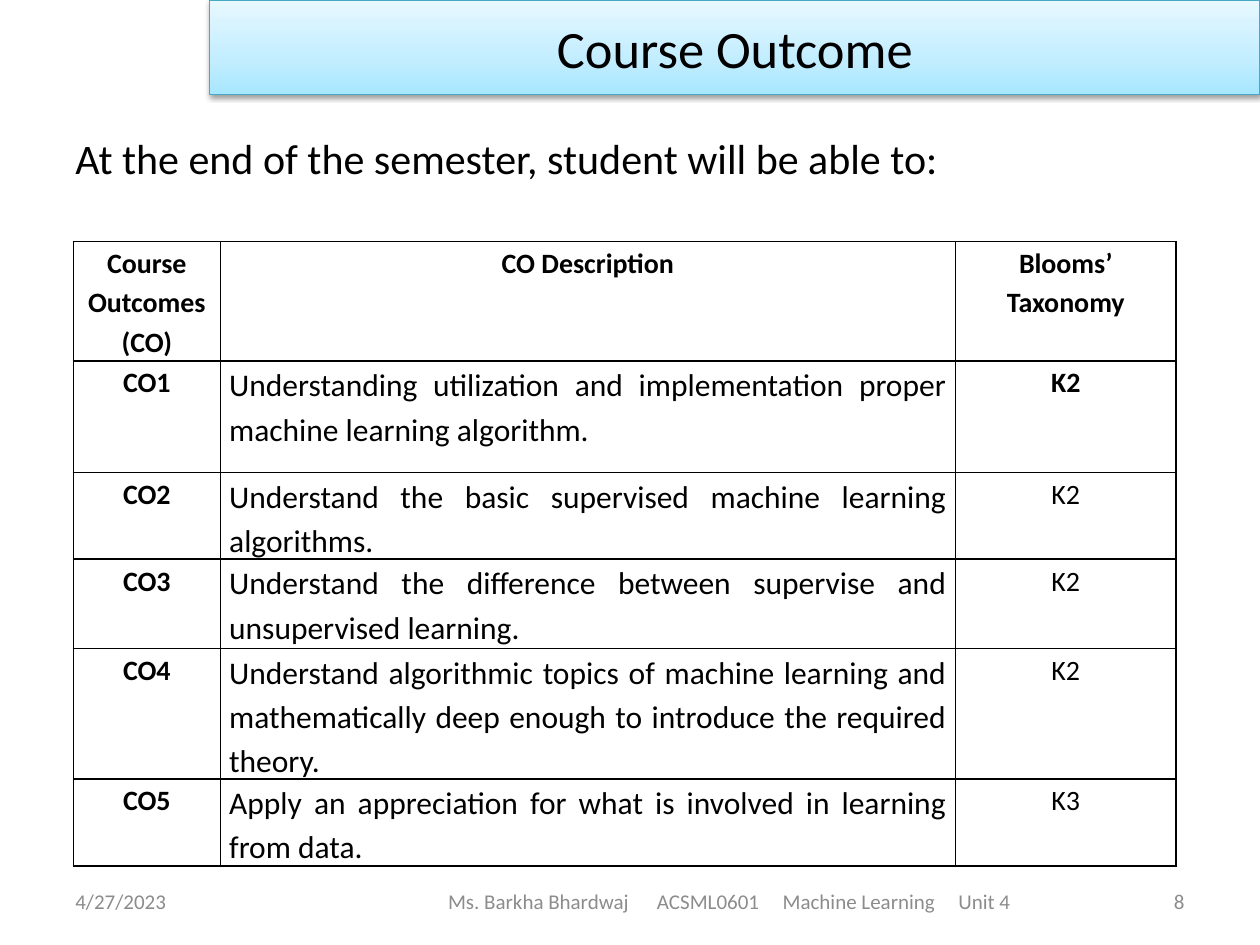
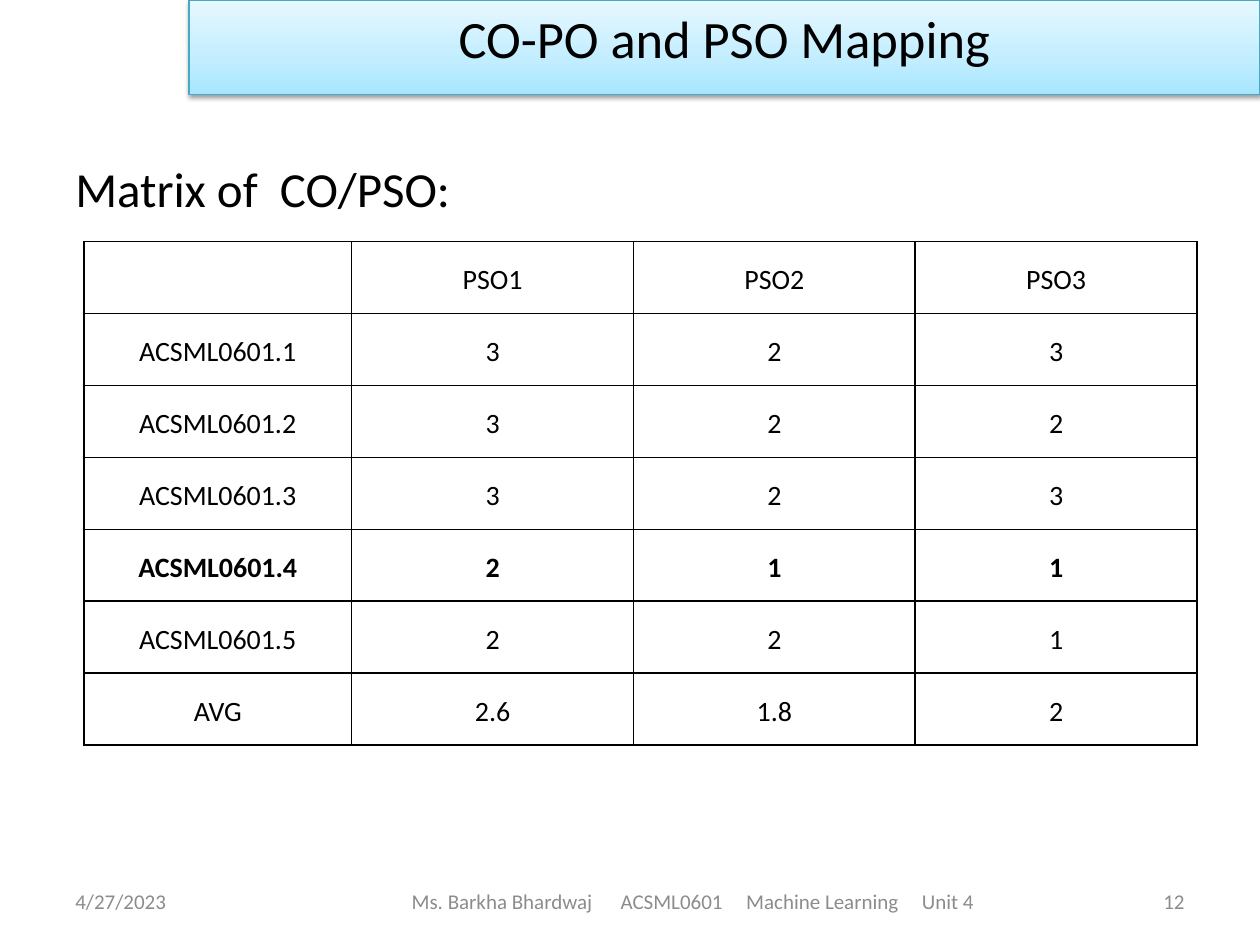
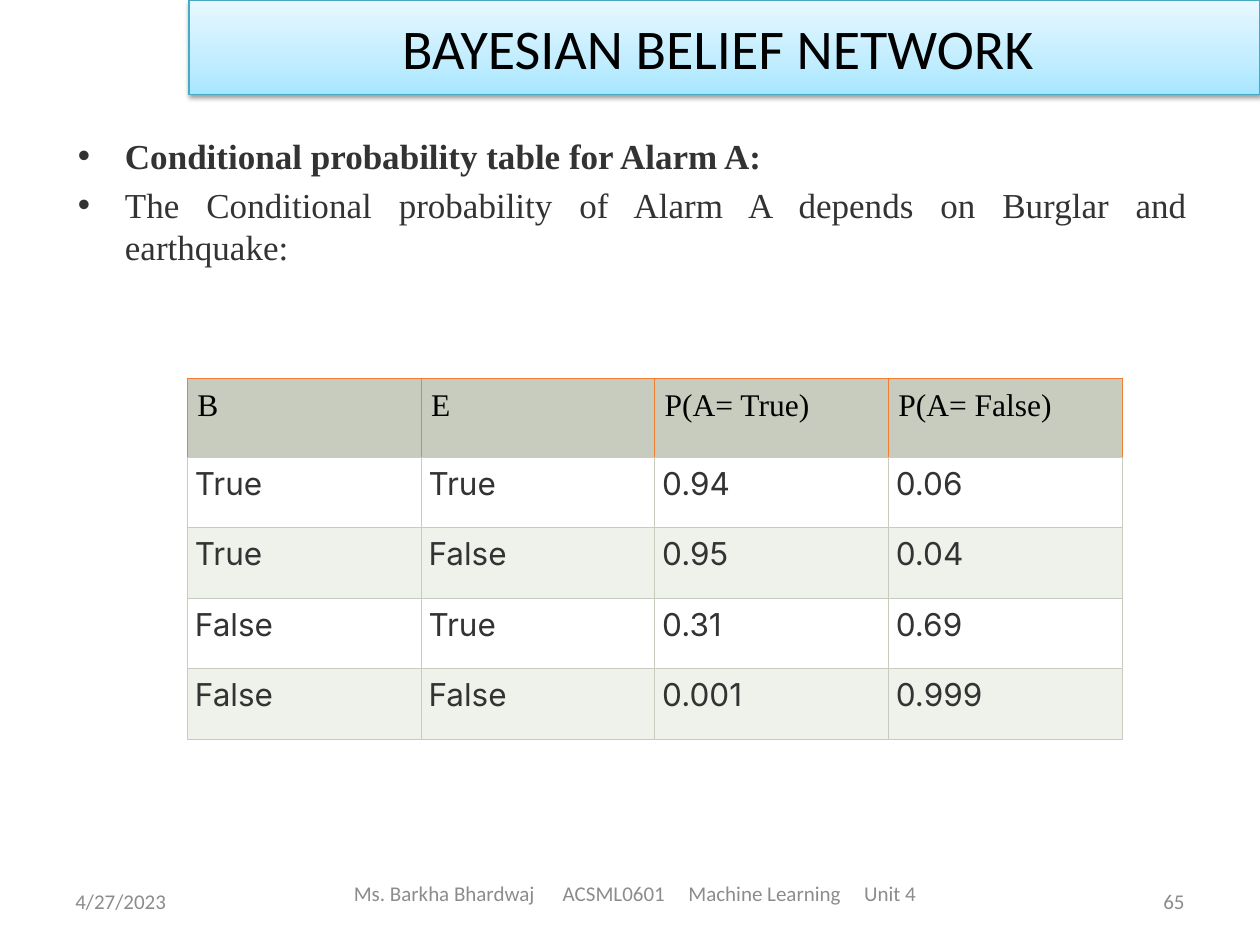
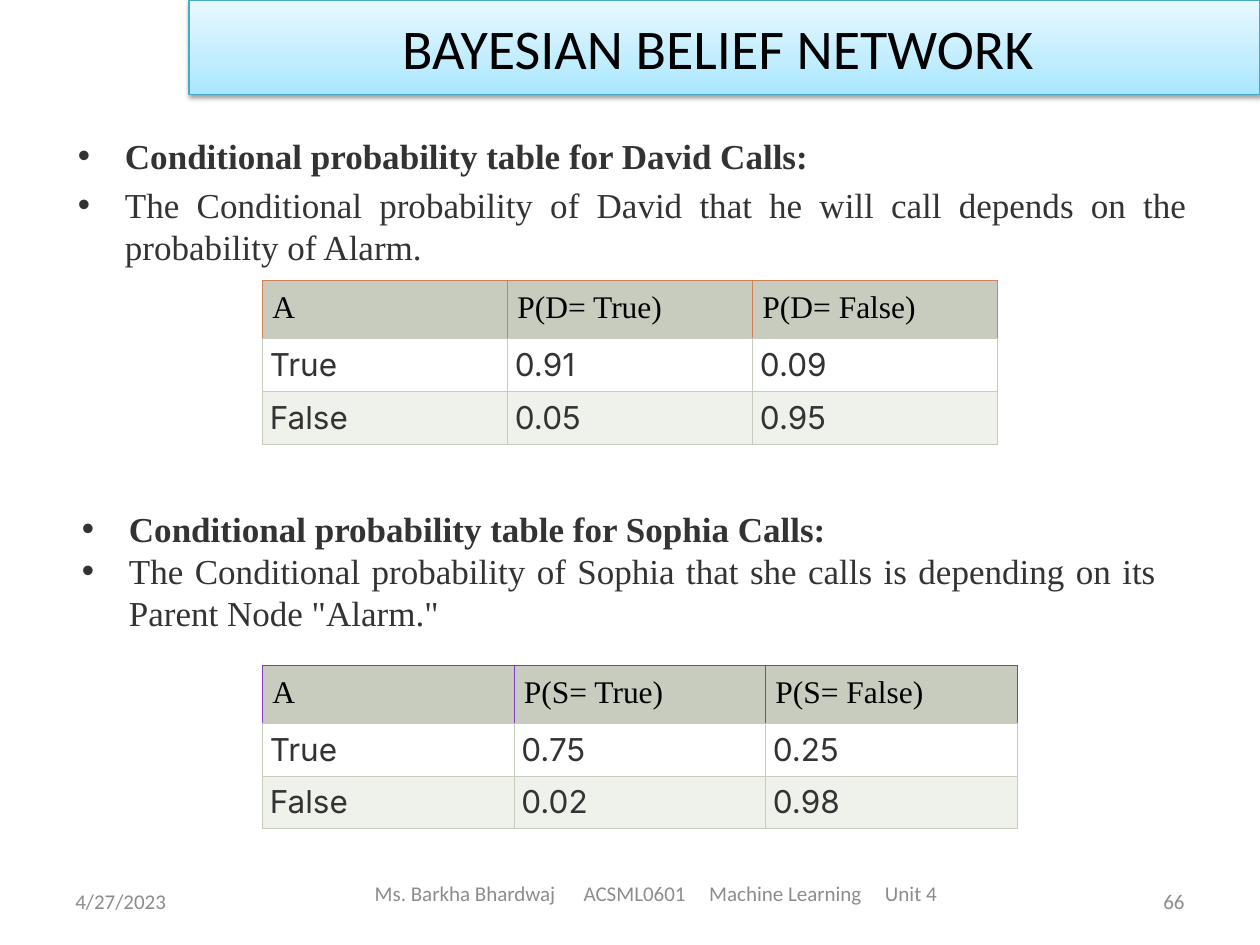
from lxml import etree
from pptx import Presentation
from pptx import util as u
from pptx.dml.color import RGBColor
from pptx.enum import text as t
from pptx.oxml.ns import qn

SERIF, SANS, UI = "Times New Roman", "Calibri", "Inter"
BLACK, INK, MUTED, WHITE = "000000", "333333", "8C8C8C", "FFFFFF"
BAND_STOPS = [(0, "A7E6FF"), (35, "C1EDFF"), (100, "E7F8FF")]
BAND_LINE = "46AAC5"
SAGE, PALE_SAGE = "C7CCBE", "EFF1EB"
LEFT, CENTER, RIGHT, JUSTIFY = (
    t.PP_ALIGN.LEFT, t.PP_ALIGN.CENTER, t.PP_ALIGN.RIGHT, t.PP_ALIGN.JUSTIFY)
TOP, MIDDLE = t.MSO_ANCHOR.TOP, t.MSO_ANCHOR.MIDDLE

# All places and sizes below are in centimetres.
PAGE_WIDTH, PAGE_HEIGHT = 25.4, 19.05
BAND_HEIGHT = 1.9
DATE = "4/27/2023"
CREDIT = "Ms. Barkha Bhardwaj      ACSML0601     Machine Learning     Unit 4"
DATE_BOX = (1.27, 17.65, 5.92, 1.02)
NUMBER_BOX = (18.21, 17.65, 5.92, 1.02)
BULLET_BOX = (1.32, 2.59, 22.86, 12.57)

OUTCOMES = [
    ("Course Outcomes (CO)", "CO Description", "Blooms’ Taxonomy"),
    ("CO1", "Understanding utilization and implementation proper machine learning algorithm.", "K2"),
    ("CO2", "Understand the basic supervised machine learning algorithms.", "K2"),
    ("CO3", "Understand the difference between supervise and unsupervised learning.", "K2"),
    ("CO4", "Understand algorithmic topics of machine learning and mathematically deep enough "
            "to introduce the required theory.", "K2"),
    ("CO5", "Apply an appreciation for what is involved in learning from data.", "K3"),
]
PSO_MATRIX = [
    ("", "PSO1", "PSO2", "PSO3"),
    ("ACSML0601.1", "3", "2", "3"),
    ("ACSML0601.2", "3", "2", "2"),
    ("ACSML0601.3", "3", "2", "3"),
    ("ACSML0601.4", "2", "1", "1"),
    ("ACSML0601.5", "2", "2", "1"),
    ("AVG", "2.6", "1.8", "2"),
]
ALARM = [
    ("B", "E", "P(A= True)", "P(A= False)"),
    ("True", "True", "0.94", "0.06"),
    ("True", "False", "0.95", "0.04"),
    ("False", "True", "0.31", "0.69"),
    ("False", "False", "0.001", "0.999"),
]
DAVID = [
    ("A", "P(D= True)", "P(D= False)"),
    ("True", "0.91", "0.09"),
    ("False", "0.05", "0.95"),
]
SOPHIA = [
    ("A", "P(S= True)", "P(S= False)"),
    ("True", "0.75", "0.25"),
    ("False", "0.02", "0.98"),
]
ALARM_NOTES = [
    "Conditional probability table for Alarm A:",
    "The Conditional probability of Alarm A depends on Burglar and earthquake:",
]
DAVID_NOTES = [
    "Conditional probability table for David Calls:",
    "The Conditional probability of David that he will call depends on the probability of Alarm.",
]
SOPHIA_NOTES = [
    "Conditional probability table for Sophia Calls:",
    'The Conditional probability of Sophia that she calls is depending on its Parent Node "Alarm."',
]


def rgb(color):
    return RGBColor.from_string(color)


def add(parent, tag, **attributes):
    return etree.SubElement(parent, qn(tag), {k: str(v) for k, v in attributes.items()})


def set_font(paragraph, name, size, color, bold=False):
    font = paragraph.font
    font.name, font.size, font.bold = name, u.Pt(size), bold
    font.color.rgb = rgb(color)


def add_text(slide, box, lines, size, color=BLACK, align=LEFT, anchor=MIDDLE, name=SANS):
    frame = slide.shapes.add_textbox(*map(u.Cm, box)).text_frame
    frame.word_wrap = True
    frame.vertical_anchor = anchor
    frame.text = "\n".join(lines)
    for paragraph in frame.paragraphs:
        paragraph.alignment = align
        set_font(paragraph, name, size, color)
    return frame


def add_bullets(slide, box, lines, gap):
    """Bulleted notes whose first line is a bold heading."""
    frame = add_text(slide, box, lines, 20, INK, JUSTIFY, TOP, SERIF)
    frame.paragraphs[0].font.bold = True
    indent = u.Cm(0.95)
    for paragraph in frame.paragraphs:
        paragraph.space_before = u.Pt(gap)
        properties = paragraph._p.get_or_add_pPr()
        properties.set("marL", str(indent))
        properties.set("indent", str(-indent))
        add(properties, "a:buFont", typeface="Arial")
        add(properties, "a:buChar", char="•")


def style_band(band):
    band.fill.gradient()
    band.fill.gradient_angle = 90
    band.line.color.rgb = rgb(BAND_LINE)
    band.line.width = u.Pt(0.75)
    properties = band._element.spPr
    stops = properties.find(".//" + qn("a:gsLst"))
    for stop in list(stops):
        stops.remove(stop)
    for position, color in BAND_STOPS:
        add(add(stops, "a:gs", pos=position * 1000), "a:srgbClr", val=color)
    shadow = add(add(properties, "a:effectLst"), "a:outerShdw", blurRad=u.Pt(3.1),
                 dist=u.Pt(1.6), dir=90 * 60000, rotWithShape=0)
    add(add(shadow, "a:srgbClr", val=BLACK), "a:alpha", val=38000)


def start_slide(deck, title, band_left, number, credit_box, size=30, anchor=MIDDLE):
    """Slide with its title band and the three footer texts."""
    slide = deck.slides.add_slide(deck.slide_layouts[5])
    band = slide.shapes.title
    band.left, band.top = u.Cm(band_left), 0
    band.width, band.height = u.Cm(PAGE_WIDTH - band_left), u.Cm(BAND_HEIGHT)
    style_band(band)
    frame = band.text_frame
    frame.text = title
    frame.auto_size = t.MSO_AUTO_SIZE.NONE
    frame.vertical_anchor = anchor
    frame.paragraphs[0].alignment = CENTER
    set_font(frame.paragraphs[0], SANS, size, BLACK)
    for box, words, align in ((DATE_BOX, DATE, LEFT), (credit_box, CREDIT, CENTER),
                              (NUMBER_BOX, str(number), RIGHT)):
        add_text(slide, box, [words], 12, MUTED, align)
    return slide


def set_borders(cell, width, sides):
    """Draw the four cell edges; sides are colours for left, right, top, bottom."""
    properties = cell._tc.get_or_add_tcPr()
    for side, color in zip("LRTB", sides):
        edge = add(properties, "a:ln" + side, w=u.Pt(width))
        add(add(edge, "a:solidFill"), "a:srgbClr", val=color)


def add_grid(slide, left, top, columns, heights, rows, style_cell):
    """Table whose cells are each finished by style_cell(cell, row, column)."""
    table = slide.shapes.add_table(len(rows), len(columns), u.Cm(left), u.Cm(top),
                                   u.Cm(sum(columns)), u.Cm(sum(heights))).table
    table.first_row = table.horz_banding = False
    for column, width in zip(table.columns, columns):
        column.width = u.Cm(width)
    for row, height in zip(table.rows, heights):
        row.height = u.Cm(height)
    for r, row in enumerate(rows):
        for c, words in enumerate(row):
            cell = table.cell(r, c)
            cell.text = words
            style_cell(cell, r, c)


def set_margins(cell, across, down):
    cell.margin_left = cell.margin_right = u.Cm(across)
    cell.margin_top = cell.margin_bottom = u.Cm(down)


def style_plain(cell, size, align, bold, anchor=TOP):
    set_margins(cell, 0.18, 0)
    cell.vertical_anchor = anchor
    set_borders(cell, 1, [BLACK] * 4)
    cell.fill.background()
    paragraph = cell.text_frame.paragraphs[0]
    paragraph.alignment, paragraph.line_spacing = align, 1.15
    set_font(paragraph, SANS, size, BLACK, bold)


def style_outcome(cell, row, column):
    description = row > 0 and column == 1
    bold = row == 0 or column == 0 or (row, column) == (1, 2)
    style_plain(cell, 18 if description else 16, JUSTIFY if description else CENTER, bold)


def style_mapping(cell, row, column):
    style_plain(cell, 16, CENTER, row == 4, MIDDLE)


def add_probabilities(slide, left, top, column, heights, rows, accent):
    def style_probability(cell, row, _):
        paragraph = cell.text_frame.paragraphs[0]
        cell.fill.solid()
        if row == 0:
            set_margins(cell, 0.2, 0.2)
            fill, sides = SAGE, [accent] * 3 + [SAGE]
            set_font(paragraph, SERIF, 18, BLACK)
        else:
            set_margins(cell, 0.15, 0.15)
            fill, sides = (WHITE if row % 2 else PALE_SAGE), [SAGE] * 4
            paragraph.alignment = JUSTIFY
            set_font(paragraph, UI, 18, INK)
        cell.fill.background()
        cell._tc.tcPr.remove(cell._tc.tcPr[0])
        set_borders(cell, 0.5, sides)
        cell.fill.solid()
        cell.fill.fore_color.rgb = rgb(fill)

    add_grid(slide, left, top, [column] * len(rows[0]), heights, rows, style_probability)


def main():
    deck = Presentation()
    deck.slide_width, deck.slide_height = u.Cm(PAGE_WIDTH), u.Cm(PAGE_HEIGHT)

    outcome = start_slide(deck, "Course Outcome", 4.23, 8, (5.08, 17.65, 19.26, 1.02))
    add_text(outcome, (1.27, 2.54, 24.13, 1.27),
             ["At the end of the semester, student will be able to:"], 24)
    add_grid(outcome, 1.48, 4.87, [2.96, 14.82, 4.45],
             [2.41, 2.24, 1.74, 1.8, 2.41, 1.73], OUTCOMES, style_outcome)

    mapping = start_slide(deck, "CO-PO and PSO Mapping", 3.81, 12,
                          (6.99, 17.65, 13.97, 1.02), anchor=TOP)
    add_text(mapping, (1.27, 3.07, 24.13, 1.45), ["Matrix of  CO/PSO:"], 28)
    add_grid(mapping, 1.69, 4.87, [5.4] + [5.68] * 3, [1.45] * 7, PSO_MATRIX, style_mapping)

    network = "BAYESIAN BELIEF NETWORK "
    alarm = start_slide(deck, network, 3.81, 65, (4.87, 17.35, 15.88, 1.32), 32)
    add_bullets(alarm, BULLET_BOX, ALARM_NOTES, 4)
    add_probabilities(alarm, 3.78, 7.62, 4.71, [1.6] + [1.42] * 4, ALARM, "F07F30")

    calls = start_slide(deck, network, 3.81, 66, (5.29, 17.35, 15.88, 1.32), 32)
    add_bullets(calls, BULLET_BOX, DAVID_NOTES, 4)
    add_probabilities(calls, 5.29, 5.66, 4.94, [1.12, 1.05, 1.05], DAVID, "D08054")
    add_bullets(calls, (1.4, 10.11, 22.17, 2.82), SOPHIA_NOTES, 0)
    add_probabilities(calls, 5.29, 13.41, 5.07, [1.17, 1.05, 1.05], SOPHIA, "803CC3")

    deck.save("out.pptx")


if __name__ == "__main__":
    main()
